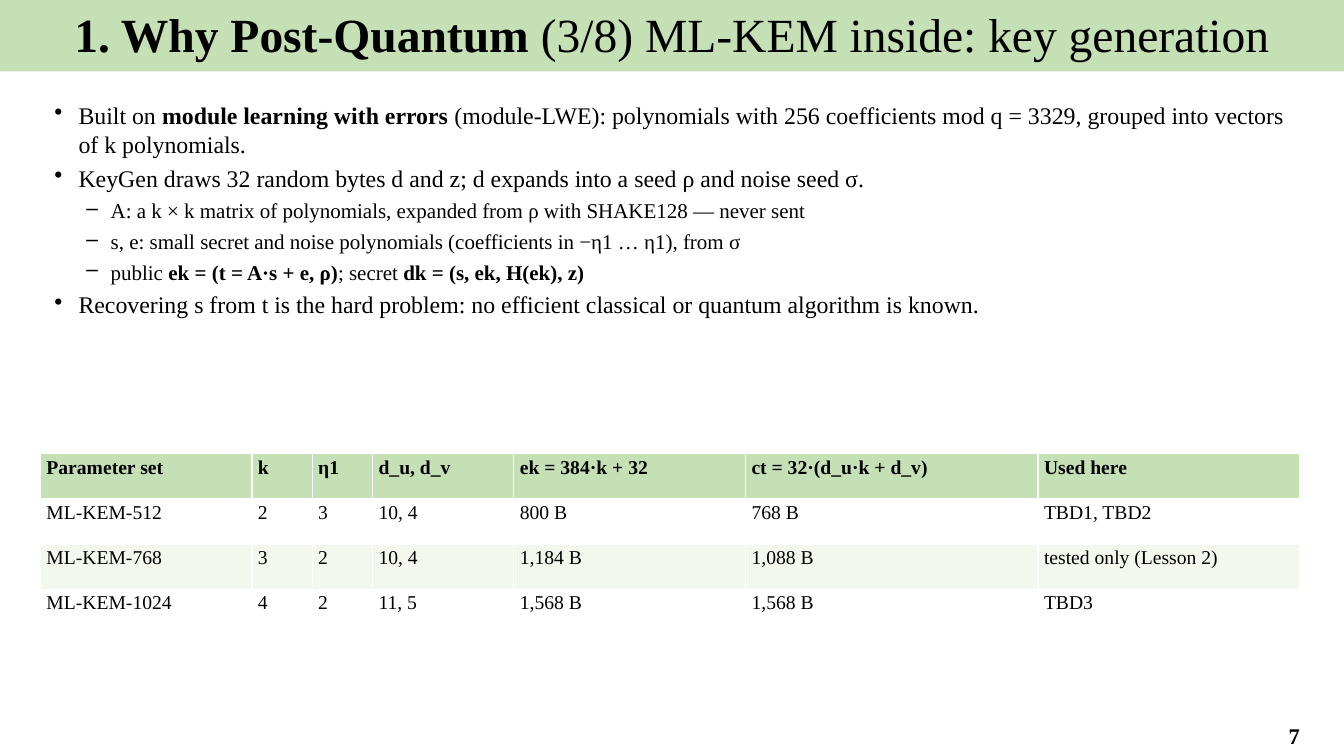
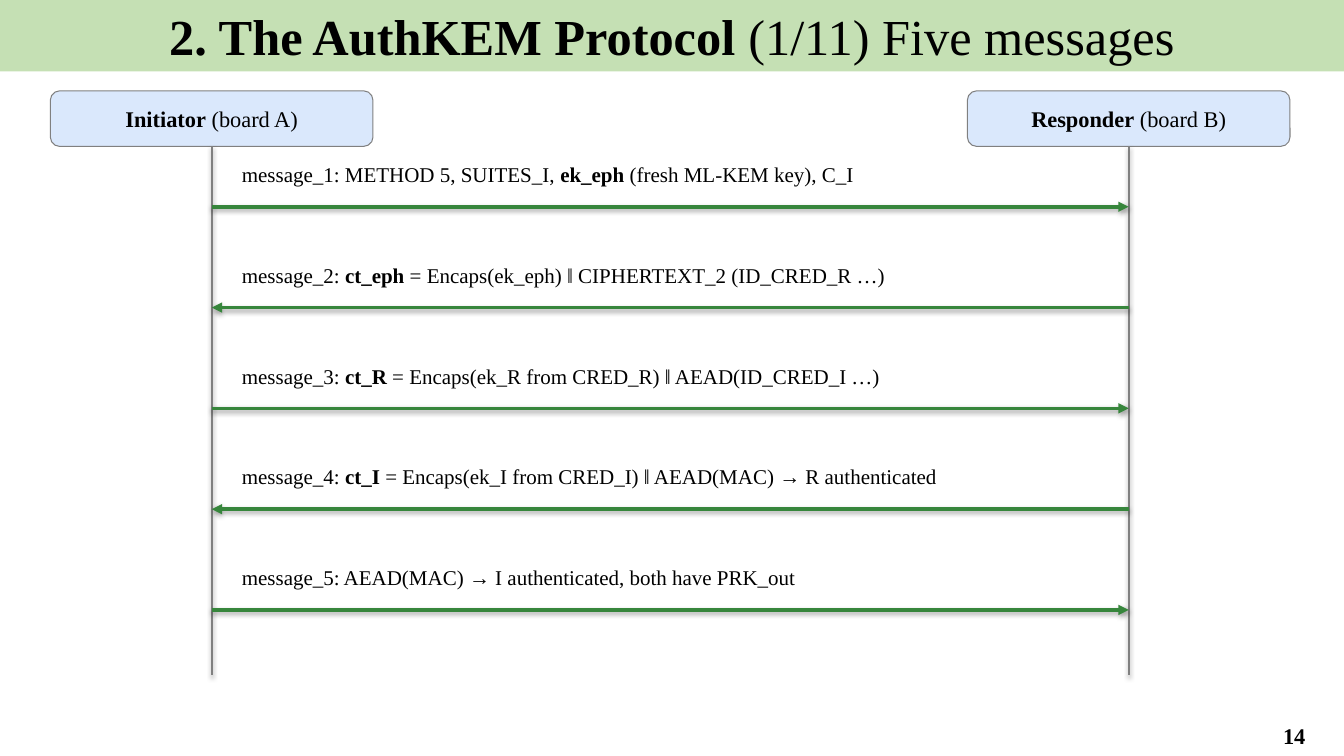
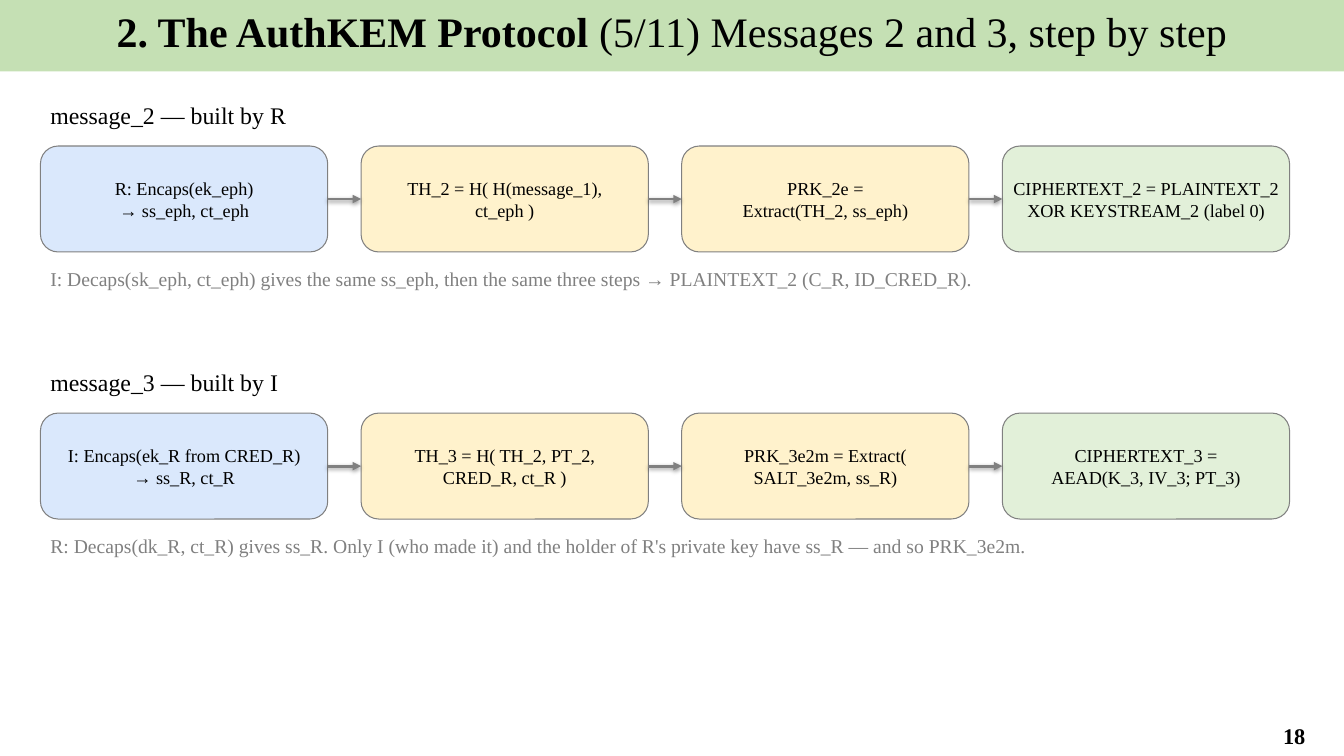
from dataclasses import dataclass
from itertools import pairwise

from lxml.etree import SubElement
from pptx import Presentation
from pptx.dml.color import RGBColor
from pptx.enum.shapes import MSO_CONNECTOR as Connector, MSO_SHAPE as Shape
from pptx.enum.text import MSO_ANCHOR as Anchor, MSO_AUTO_SIZE as AutoSize, PP_ALIGN as Align
from pptx.oxml.ns import qn
from pptx.util import Cm, Pt


@dataclass(frozen=True)
class Theme:
    font: str = "Times New Roman"
    ink: str = "000000"
    gray: str = "808080"
    band: str = "C5E0B4"
    stripe: str = "F2F8EE"
    paper: str = "FFFFFF"
    blue: str = "DAE8FC"
    yellow: str = "FFF2CC"
    green: str = "E2F0D9"
    arrow: str = "37863C"
    body: int = 17
    label: int = 16
    detail: int = 15
    small: int = 14
    step: int = 13


THEME = Theme()
WIDTH, HEIGHT = 33.87, 19.05
LEFT, CONTENT_WIDTH = 1.02, 31.75

KEYGEN = {
    "title": "**1. Why Post-Quantum **(3/8) ML-KEM inside: key generation",
    "size": 34,
    "number": 7,
    "bullets": [
        (0, "Built on **module learning with errors** (module-LWE): polynomials with 256 coefficients mod q = 3329, grouped into vectors of k polynomials."),
        (0, "KeyGen draws 32 random bytes d and z; d expands into a seed ρ and noise seed σ."),
        (1, "A: a k × k matrix of polynomials, expanded from ρ with SHAKE128 — never sent"),
        (1, "s, e: small secret and noise polynomials (coefficients in −η1 … η1), from σ"),
        (1, "public **ek = (t = A·s + e, ρ)**; secret **dk = (s, ek, H(ek), z)**"),
        (0, "Recovering s from t is the hard problem: no efficient classical or quantum algorithm is known."),
    ],
    "widths": [5.33, 1.52, 1.52, 3.56, 5.84, 7.37, 6.6],
    "rows": [
        ("Parameter set", "k", "η1", "d_u, d_v", "ek = 384·k + 32", "ct = 32·(d_u·k + d_v)", "Used here"),
        ("ML-KEM-512", "2", "3", "10, 4", "800 B", "768 B", "TBD1, TBD2"),
        ("ML-KEM-768", "3", "2", "10, 4", "1,184 B", "1,088 B", "tested only (Lesson 2)"),
        ("ML-KEM-1024", "4", "2", "11, 5", "1,568 B", "1,568 B", "TBD3"),
    ],
}

SEQUENCE = {
    "title": "**2. The AuthKEM Protocol **(1/11) Five messages",
    "size": 36,
    "number": 14,
    "actors": [(1.27, "**Initiator** (board A)"), (24.38, "**Responder** (board B)")],
    "messages": [
        "message_1: METHOD 5, SUITES_I, **ek_eph** (fresh ML-KEM key), C_I",
        "message_2: **ct_eph** = Encaps(ek_eph) ‖ CIPHERTEXT_2 (ID_CRED_R …)",
        "message_3: **ct_R** = Encaps(ek_R from CRED_R) ‖ AEAD(ID_CRED_I …)",
        "message_4: **ct_I** = Encaps(ek_I from CRED_I) ‖ AEAD(MAC) → R authenticated",
        "message_5: AEAD(MAC) → I authenticated, both have PRK_out",
    ],
}

STEPS = {
    "title": "**2. The AuthKEM Protocol **(5/11) Messages 2 and 3, step by step",
    "size": 30,
    "number": 18,
    "fills": [THEME.blue, THEME.yellow, THEME.yellow, THEME.green],
    "flows": [
        {
            "heading": "message_2 — built by R",
            "steps": [
                ("R: Encaps(ek_eph)", "→ ss_eph, ct_eph"),
                ("TH_2 = H( H(message_1),", "ct_eph )"),
                ("PRK_2e =", "Extract(TH_2, ss_eph)"),
                ("CIPHERTEXT_2 = PLAINTEXT_2", "XOR KEYSTREAM_2 (label 0)"),
            ],
            "note": "I: Decaps(sk_eph, ct_eph) gives the same ss_eph, then the same three steps → PLAINTEXT_2 (C_R, ID_CRED_R).",
        },
        {
            "heading": "message_3 — built by I",
            "steps": [
                ("I: Encaps(ek_R from CRED_R)", "→ ss_R, ct_R"),
                ("TH_3 = H( TH_2, PT_2,", "CRED_R, ct_R )"),
                ("PRK_3e2m = Extract(", "SALT_3e2m, ss_R)"),
                ("CIPHERTEXT_3 =", "AEAD(K_3, IV_3; PT_3)"),
            ],
            "note": "R: Decaps(dk_R, ct_R) gives ss_R. Only I (who made it) and the holder of R's private key have ss_R — and so PRK_3e2m.",
        },
    ],
}


def rgb(color):
    return RGBColor.from_string(color)


def paint(shape, color):
    shape.fill.solid()
    shape.fill.fore_color.rgb = rgb(color)


def write(frame, text, *, size, color=THEME.ink, bold=False, align=Align.LEFT, after=0, marker=None, indent=0):
    para = frame.paragraphs[-1]
    if para.runs:
        para = frame.add_paragraph()
    para.alignment = align
    para.space_after = Pt(after)
    if marker:
        props = para._p.get_or_add_pPr()
        props.set("marL", str(Cm(indent)))
        props.set("indent", str(Cm(-0.61)))
        SubElement(props, qn("a:buChar")).set("char", marker)
    for index, part in enumerate(text.split("**")):
        if part:
            span = para.add_run()
            span.text = part
            span.font.name = THEME.font
            span.font.size = Pt(size)
            span.font.bold = bold or index % 2 == 1
            span.font.color.rgb = rgb(color)


def set_frame(shape, anchor=Anchor.TOP, inset_x=0.25, inset_y=0.13):
    frame = shape.text_frame
    frame.word_wrap = True
    frame.auto_size = AutoSize.NONE
    frame.vertical_anchor = anchor
    frame.margin_left = frame.margin_right = Cm(inset_x)
    frame.margin_top = frame.margin_bottom = Cm(inset_y)
    return frame


def add_text(slide, left, top, width, height, anchor=Anchor.TOP):
    box = slide.shapes.add_textbox(Cm(left), Cm(top), Cm(width), Cm(height))
    return set_frame(box, anchor)


def add_box(slide, left, top, width, height, fill, lines, size):
    box = slide.shapes.add_shape(Shape.ROUNDED_RECTANGLE, Cm(left), Cm(top), Cm(width), Cm(height))
    box.shadow.inherit = False
    paint(box, fill)
    box.line.color.rgb = rgb(THEME.gray)
    box.line.width = Pt(0.75)
    frame = set_frame(box, Anchor.MIDDLE, 0.1, 0.1)
    for line in lines:
        write(frame, line, size=size, align=Align.CENTER)
    return box


def add_line(slide, start, end, color, weight, arrow=True):
    line = slide.shapes.add_connector(Connector.STRAIGHT, *map(Cm, (*start, *end)))
    line.line.color.rgb = rgb(color)
    line.line.width = Pt(weight)
    if arrow:
        SubElement(line.line._get_or_add_ln(), qn("a:tailEnd")).set("type", "triangle")
    return line


def add_slide(deck, content):
    slide = deck.slides.add_slide(deck.slide_layouts[5])
    title = slide.shapes.title
    title.left, title.top, title.width, title.height = Cm(0), Cm(0), Cm(WIDTH), Cm(1.8)
    paint(title, THEME.band)
    write(set_frame(title), content["title"], size=content["size"], align=Align.CENTER)
    number = add_text(slide, 31.37, 18.03, 2.49, 0.99, Anchor.MIDDLE)
    write(number, str(content["number"]), size=THEME.label, bold=True, align=Align.CENTER)
    return slide


def add_parameter_table(slide, rows, widths):
    height = 1.14
    table = slide.shapes.add_table(
        len(rows), len(widths), Cm(LEFT), Cm(11.43), Cm(CONTENT_WIDTH), Cm(height * len(rows))
    ).table
    for column, width in zip(table.columns, widths):
        column.width = Cm(width)
    fills = [THEME.band, THEME.paper, THEME.stripe, THEME.paper]
    for y, (row, fill) in enumerate(zip(rows, fills)):
        table.rows[y].height = Cm(height)
        for x, text in enumerate(row):
            cell = table.cell(y, x)
            paint(cell, fill)
            cell.margin_left = cell.margin_right = Cm(0.15)
            cell.margin_top = cell.margin_bottom = Cm(0.08)
            write(cell.text_frame, text, size=THEME.small, bold=y == 0)


def build_keygen(deck):
    slide = add_slide(deck, KEYGEN)
    levels = [
        {"size": THEME.body, "marker": "•", "indent": 0.71},
        {"size": THEME.detail, "marker": "–", "indent": 1.52},
    ]
    frame = add_text(slide, LEFT, 2.41, CONTENT_WIDTH, 8.64)
    for level, text in KEYGEN["bullets"]:
        write(frame, text, after=4, **levels[level])
    add_parameter_table(slide, KEYGEN["rows"], KEYGEN["widths"])


def build_sequence(deck):
    slide = add_slide(deck, SEQUENCE)
    top, width, height = 2.29, 8.13, 1.4
    lifelines = []
    for left, name in SEQUENCE["actors"]:
        add_box(slide, left, top, width, height, THEME.blue, [name], THEME.label)
        x = left + width / 2
        add_line(slide, (x, top + height), (x, 17.02), THEME.gray, 1.5, arrow=False)
        lifelines.append(x)
    for index, message in enumerate(SEQUENCE["messages"]):
        y = 5.21 + 2.54 * index
        start, end = lifelines if index % 2 == 0 else reversed(lifelines)
        add_line(slide, (start, y), (end, y), THEME.arrow, 2.5)
        frame = add_text(slide, lifelines[0] + 0.51, y - 1.27, 22.35, 1.27)
        write(frame, message, size=THEME.detail, after=4)


def build_steps(deck):
    slide = add_slide(deck, STEPS)
    width, height, gap = 7.24, 2.67, 0.84
    for index, flow in enumerate(STEPS["flows"]):
        top = 2.41 + 6.73 * index
        write(add_text(slide, LEFT, top, CONTENT_WIDTH, 1.14), flow["heading"], size=THEME.body, after=4)
        boxes = [
            add_box(slide, LEFT + (width + gap) * column, top + 1.27, width, height, fill, lines, THEME.step)
            for column, (fill, lines) in enumerate(zip(STEPS["fills"], flow["steps"]))
        ]
        for source, target in pairwise(boxes):
            arrow = add_line(slide, (0, 0), (0, 0), THEME.gray, 2)
            arrow.begin_connect(source, 3)
            arrow.end_connect(target, 1)
        note = add_text(slide, LEFT, top + 4.19, CONTENT_WIDTH, 1.52)
        write(note, flow["note"], size=THEME.small, color=THEME.gray, after=4)


def main():
    deck = Presentation()
    deck.slide_width, deck.slide_height = Cm(WIDTH), Cm(HEIGHT)
    build_keygen(deck)
    build_sequence(deck)
    build_steps(deck)
    deck.save("out.pptx")


if __name__ == "__main__":
    main()
